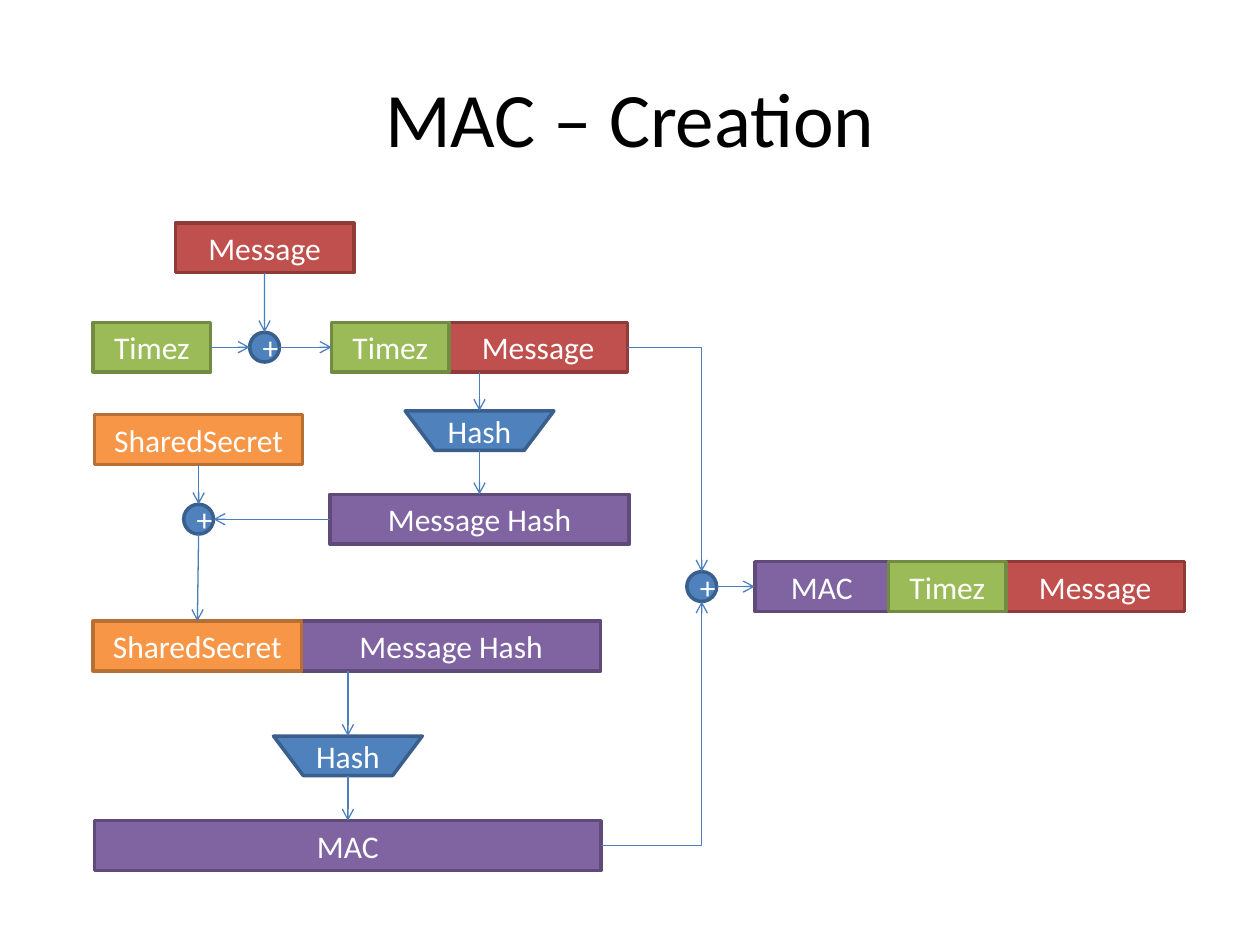
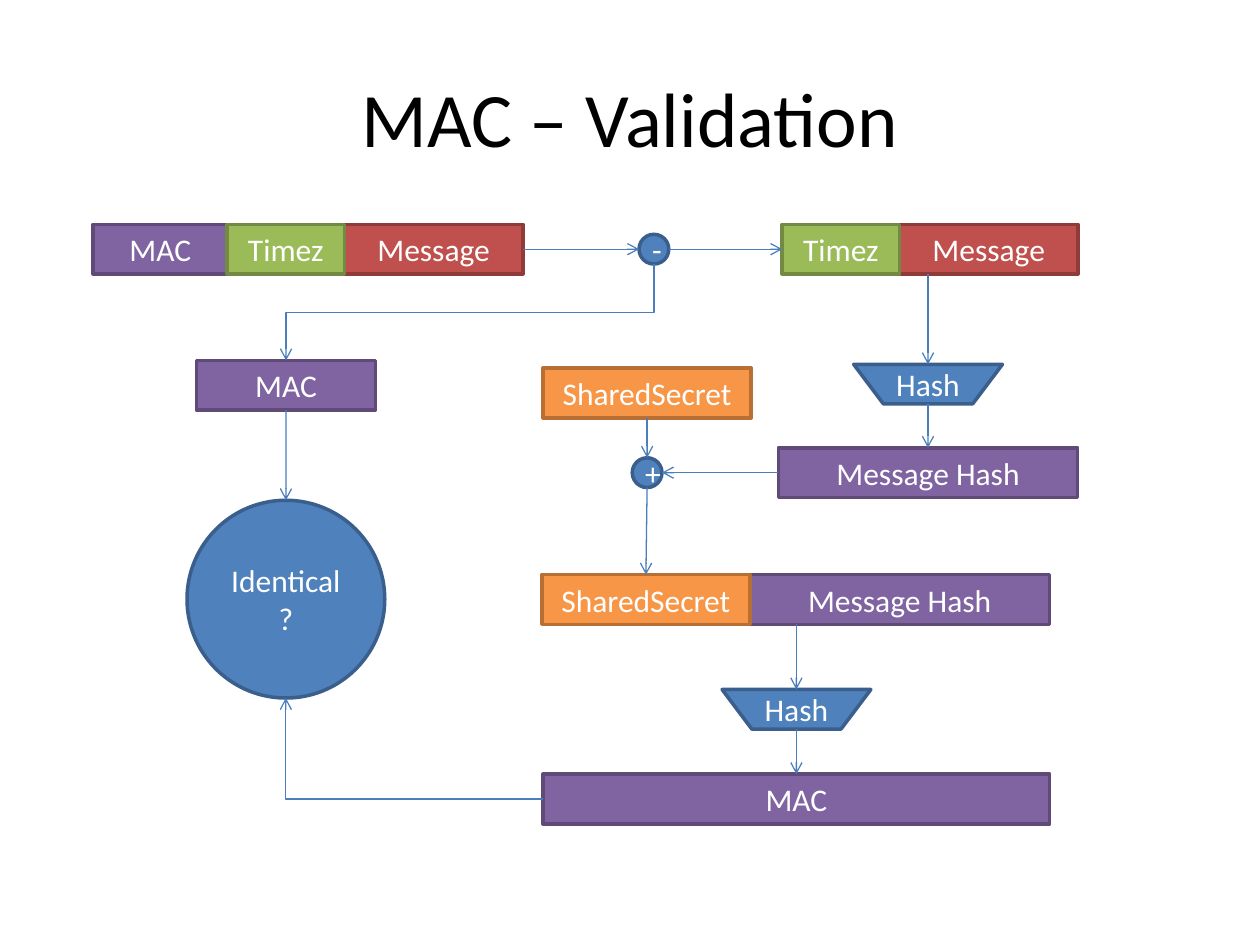
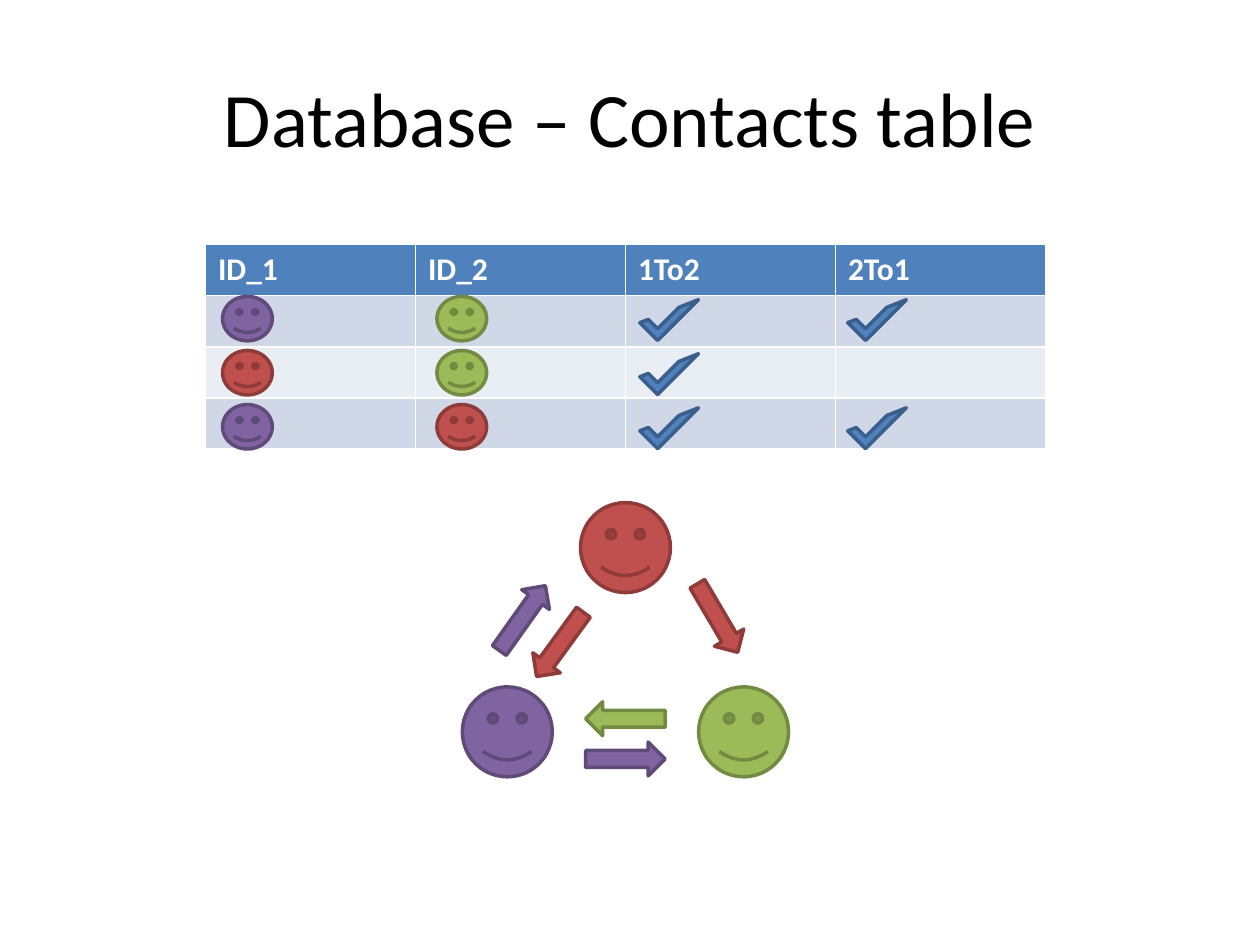
from pptx import Presentation
from pptx.dml.color import RGBColor
from pptx.enum.shapes import MSO_CONNECTOR, MSO_SHAPE
from pptx.enum.text import MSO_ANCHOR, PP_ALIGN
from pptx.oxml.ns import qn
from pptx.util import Pt
from lxml import etree

RECT, OVAL = MSO_SHAPE.RECTANGLE, MSO_SHAPE.OVAL
TRAPEZOID = MSO_SHAPE.FLOWCHART_MANUAL_OPERATION
FACE, CHECK, ARROW = MSO_SHAPE.SMILEY_FACE, MSO_SHAPE.HALF_FRAME, MSO_SHAPE.RIGHT_ARROW
STRAIGHT, ELBOW = MSO_CONNECTOR.STRAIGHT, MSO_CONNECTOR.ELBOW
CENTER, MIDDLE = PP_ALIGN.CENTER, MSO_ANCHOR.MIDDLE
TOP, LEFT, BOTTOM, RIGHT = range(4)

# Fill and outline pairs
BLUE = ("4F81BD", "3A5F8C")
RED = ("C0504D", "8E3B39")
GREEN = ("9BBB59", "738A42")
PURPLE = ("8064A2", "5F4A78")
ORANGE = ("F79646", "B76F34")
WHITE, BLACK, WIRE = "FFFFFF", "000000", "4B7EBC"
BANDS = ("D0D8E8", "E9EDF4")

# Block colours and widths; later blocks lie on top of earlier ones
BLOCKS = {
    "MAC": (PURPLE, 76.5),
    "Message": (RED, 102),
    "Message Hash": (PURPLE, 171),
    "Timez": (GREEN, 67),
    "SharedSecret": (ORANGE, 119),
}
BLOCK_H = 28.4
HASH_W, HASH_H = 85, 22.6
NODE = 17


def color(value):
    return RGBColor.from_string(value)


def format_runs(tf, size, value, bold=False):
    for p in tf.paragraphs:
        for r in p.runs:
            r.font.name, r.font.size, r.font.bold = "Calibri", Pt(size), bold
            r.font.color.rgb = color(value)


def new_slide(prs, title):
    s = prs.slides.add_slide(prs.slide_layouts[5])
    sp = s.shapes.title
    sp.left, sp.top, sp.width, sp.height = Pt(36), Pt(21.6), Pt(648), Pt(90)
    tf = sp.text_frame
    tf.text = title
    tf.vertical_anchor = MIDDLE
    tf.paragraphs[0].alignment = CENTER
    format_runs(tf, 44, BLACK)
    return s


def add_shape(parent, kind, box, colors, text="", rotation=0):
    sp = parent.shapes.add_shape(kind, *map(Pt, box))
    sp.shadow.inherit = False
    sp.rotation = rotation
    sp.fill.solid()
    sp.fill.fore_color.rgb = color(colors[0])
    sp.line.color.rgb = color(colors[1])
    sp.line.width = Pt(2)
    if text:
        tf = sp.text_frame
        tf.text = text
        tf.vertical_anchor = MIDDLE
        tf.paragraphs[0].alignment = CENTER
        format_runs(tf, 18, WHITE)
    return sp


def add_centered(s, kind, x, y, w, h, colors, text="", rotation=0):
    return add_shape(s, kind, (x - w / 2, y - h / 2, w, h), colors, text, rotation)


def add_block(parent, left, top, name, width=None):
    colors, usual_width = BLOCKS[name]
    return add_shape(parent, RECT, (left, top, width or usual_width, BLOCK_H), colors, name)


def add_packet(s, left, top, names):
    """Joins blocks side by side in a group and returns them by name."""
    lefts = {}
    for name in names:
        lefts[name] = left
        left += BLOCKS[name][1]
    group = s.shapes.add_group_shape()
    return {name: add_block(group, lefts[name], top, name)
            for name in BLOCKS if name in lefts}


def add_node(s, x, y, sign):
    return add_centered(s, OVAL, x, y, NODE, NODE, BLUE, sign)


def side(sp, site):
    x = sp.left + {LEFT: 0, RIGHT: sp.width}.get(site, sp.width // 2)
    y = sp.top + {TOP: 0, BOTTOM: sp.height}.get(site, sp.height // 2)
    return x, y


def style_wire(c):
    c.line.color.rgb = color(WIRE)
    c.line.width = Pt(0.75)
    spPr = c._element.spPr
    etree.SubElement(spPr.find(qn("a:ln")), qn("a:tailEnd"), type="arrow")
    etree.SubElement(spPr, qn("a:effectLst"))


def add_arrow(s, begin, begin_site, end, end_site, x=None):
    """Links two sides; x moves the start along the side it leaves."""
    x1, y1 = side(begin, begin_site)
    c = s.shapes.add_connector(STRAIGHT, x1 if x is None else x, y1, *side(end, end_site))
    if x is None and begin.auto_shape_type != OVAL:
        c.begin_connect(begin, begin_site)
    if end.auto_shape_type != OVAL:
        c.end_connect(end, end_site)
    style_wire(c)


def add_corner(s, begin, begin_site, end, end_site):
    """Runs level from the first side, then upright to the second."""
    c = s.shapes.add_connector(ELBOW, *side(begin, begin_site), *side(end, end_site))
    c._element.spPr.find(qn("a:prstGeom")).set("prst", "bentConnector2")
    style_wire(c)


def add_step(s, begin, end):
    """Runs down, left and down again between two shapes."""
    (x1, y1), (x2, y2) = side(begin, BOTTOM), side(end, TOP)
    mid_x, mid_y, w, h = (x1 + x2) // 2, (y1 + y2) // 2, y2 - y1, x1 - x2
    c = s.shapes.add_connector(ELBOW, mid_x - w // 2, mid_y - h // 2,
                               mid_x + w // 2, mid_y + h // 2)
    c.rotation = 90
    style_wire(c)


def mac_chain(s, left, top, packet):
    """Hashes the packet, adds the secret and hashes again; returns the MAC."""
    mac_w = 289.6
    secret = add_block(s, left, top, "SharedSecret")
    digest = add_block(s, left + 134.5, top + 45.5, "Message Hash")
    first_hash = add_shape(s, TRAPEZOID, (left + 177.5, top - 2.2, HASH_W, HASH_H), BLUE, "Hash")
    plus = add_node(s, left + 59.5, top + 59.7, "+")
    joined = add_packet(s, left - 0.7, top + 118, ["SharedSecret", "Message Hash"])
    second_hash = add_shape(s, TRAPEZOID, (left + (mac_w - HASH_W) / 2, top + 183.6,
                                           HASH_W, HASH_H), BLUE, "Hash")
    mac = add_block(s, left, top + 232, "MAC", mac_w)

    add_arrow(s, packet["Message"], BOTTOM, first_hash, TOP, side(first_hash, TOP)[0])
    add_arrow(s, first_hash, BOTTOM, digest, TOP)
    add_arrow(s, digest, LEFT, plus, RIGHT)
    add_arrow(s, secret, BOTTOM, plus, TOP)
    add_arrow(s, plus, BOTTOM, joined["SharedSecret"], TOP)
    add_arrow(s, joined["Message Hash"], BOTTOM, second_hash, TOP, side(second_hash, TOP)[0])
    add_arrow(s, second_hash, BOTTOM, mac, TOP)
    return mac


def creation_slide(prs):
    s = new_slide(prs, "MAC – Creation")
    # Time stamp joined to the message
    message = add_block(s, 100.2, 127.5, "Message")
    timez = add_block(s, 53.3, 184.2, "Timez")
    plus = add_node(s, 151.2, 198.4, "+")
    packet = add_packet(s, 189.5, 184.2, ["Timez", "Message"])
    add_arrow(s, message, BOTTOM, plus, TOP)
    add_arrow(s, timez, RIGHT, plus, LEFT)
    add_arrow(s, plus, RIGHT, packet["Timez"], LEFT)

    # MAC put in front of the packet
    mac = mac_chain(s, 54, 237, packet)
    final_plus = add_node(s, 401, 335.2, "+")
    signed = add_packet(s, 431.3, 321, ["MAC", "Timez", "Message"])
    add_corner(s, packet["Message"], RIGHT, final_plus, TOP)
    add_corner(s, mac, RIGHT, final_plus, BOTTOM)
    add_arrow(s, final_plus, RIGHT, signed["MAC"], LEFT)


def validation_slide(prs):
    s = new_slide(prs, "MAC – Validation")
    # Received packet split into MAC and message
    signed = add_packet(s, 53.3, 128.2, ["MAC", "Timez", "Message"])
    minus = add_node(s, 373.7, 142.4, "-")
    packet = add_packet(s, 447, 128.2, ["Timez", "Message"])
    received = add_block(s, 112.2, 206, "MAC", 102.5)
    add_arrow(s, signed["Message"], RIGHT, minus, LEFT)
    add_arrow(s, minus, RIGHT, packet["Timez"], LEFT)
    add_step(s, minus, received)

    # Computed MAC compared with the received one
    computed = mac_chain(s, 310.3, 210.4, packet)
    test = add_centered(s, OVAL, 163.4, 342.4, 113, 113, BLUE, "Identical?")
    add_arrow(s, received, BOTTOM, test, TOP)
    add_corner(s, computed, LEFT, test, BOTTOM)


def contacts_table(s, left, top):
    headers = ["ID_1", "ID_2", "1To2", "2To1"]
    contacts = [(PURPLE, GREEN, True, True),
                (RED, GREEN, True, False),
                (PURPLE, RED, True, True)]
    col_w, row_h = 120, 29.2
    n_rows = len(contacts) + 1
    table = s.shapes.add_table(n_rows, len(headers), Pt(left), Pt(top),
                               Pt(col_w * len(headers)), Pt(row_h * n_rows)).table
    for i, row in enumerate(table.rows):
        row.height = Pt(row_h)
        for cell in row.cells:
            cell.fill.solid()
            cell.fill.fore_color.rgb = color(BANDS[(i - 1) % 2] if i else BLUE[0])
    for cell, header in zip(table.rows[0].cells, headers):
        cell.text = header
        format_runs(cell.text_frame, 18, WHITE, bold=True)

    # Faces and check marks over the cells
    for i, (first, second, *allowed) in enumerate(contacts):
        y = top + 42.3 + 30.9 * i
        for x, colors in ((24, first), (146.5, second)):
            add_centered(s, FACE, left + x, y, 28.4, 25.4, colors)
        for x, shown in zip((265, 383.8), allowed):
            if shown:
                add_centered(s, CHECK, left + x, y - 4.3, 14.4, 33, BLUE, rotation=225)


def contacts_triangle(s, left, top):
    for x, y, colors in ((67.5, 0, RED), (135, 105.3, GREEN), (0, 105.3, PURPLE)):
        add_shape(s, FACE, (left + x, top + y, 51.4, 51.4), colors)
    for x, y, rotation, colors in ((93.2, 146.5, 0, PURPLE), (93.2, 123.5, 180, GREEN),
                                   (145.8, 66, 59.5, RED), (34.3, 66, 305.4, PURPLE),
                                   (55.8, 81, 126.1, RED)):
        add_centered(s, ARROW, left + x, top + y, 45.4, 19.4, colors, rotation=rotation)


def contacts_slide(prs):
    s = new_slide(prs, "Database – Contacts table")
    contacts_table(s, 117.4, 139.8)
    contacts_triangle(s, 264.2, 287.2)


def main():
    prs = Presentation()
    prs.slide_width, prs.slide_height = Pt(720), Pt(540)
    creation_slide(prs)
    validation_slide(prs)
    contacts_slide(prs)
    prs.save("out.pptx")


if __name__ == "__main__":
    main()
